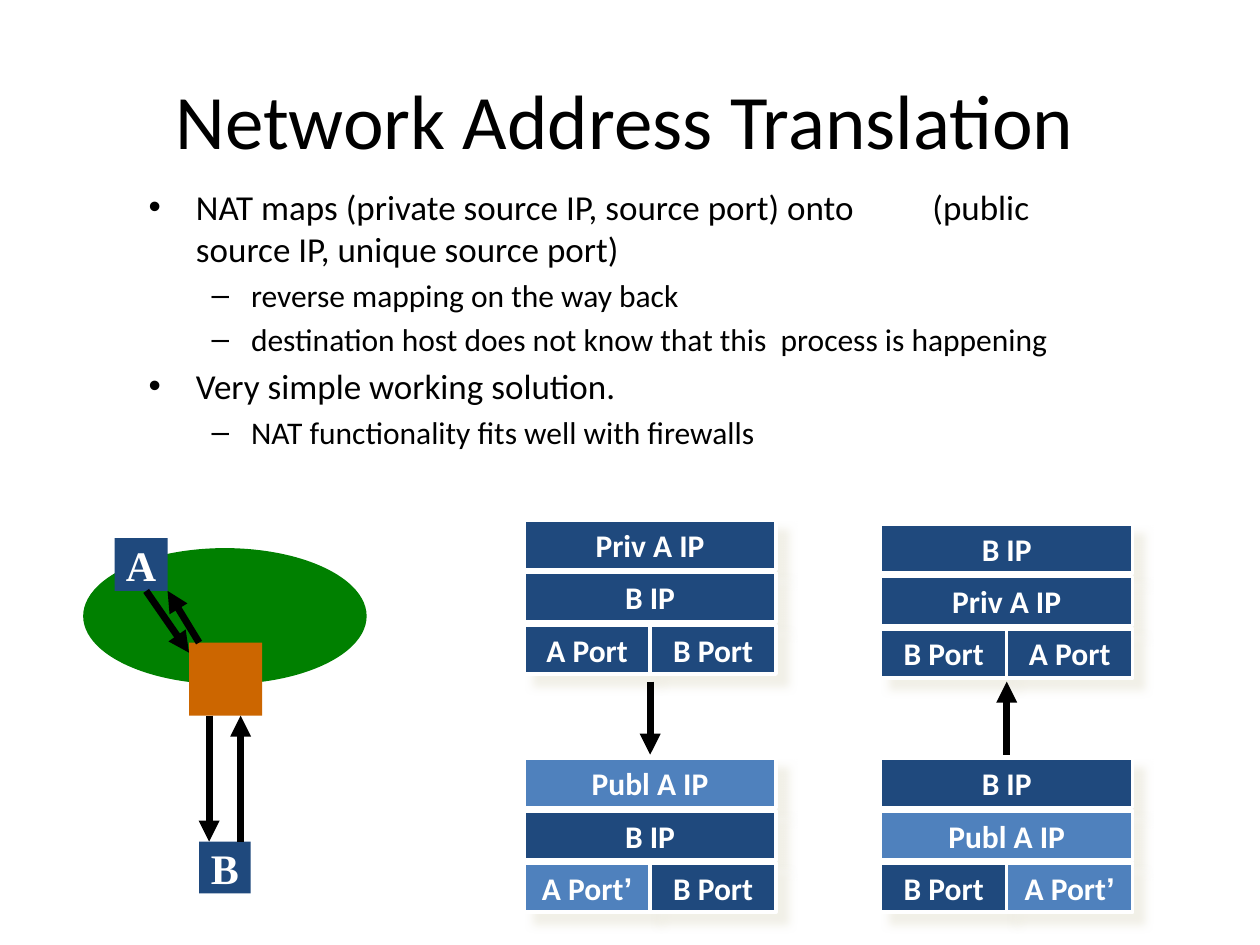
from lxml.etree import SubElement as Sub
from pptx import Presentation
from pptx.dml.color import RGBColor
from pptx.enum.shapes import MSO_CONNECTOR, MSO_SHAPE
from pptx.enum.text import MSO_ANCHOR, MSO_AUTO_SIZE, PP_ALIGN
from pptx.oxml.ns import qn
from pptx.util import Inches, Pt

HUE = {"navy": "1F497D", "blue": "4F81BD", "green": "008000",
       "orange": "CC6600", "white": "FFFFFF", "black": "000000",
       "shade": "EEECE1"}

TITLE = "Network Address Translation"
POINTS = [  # level, text
    (0, "NAT maps (private source IP, source port) onto\t(public source IP, unique source port)"),
    (1, "reverse mapping on the way back"),
    (1, "destination host does not know that this  process is happening"),
    (0, "Very simple working solution."),
    (1, "NAT functionality fits well with firewalls"),
]
SIZES = [20, 18]
TAB = 6.22

# left, top, rows of header fields; rewritten fields are blue
PACKETS = [
    (4.16, 4.13, [["Priv A IP"], ["B IP"], ["A Port", "B Port"]]),
    (4.16, 6.02, [["Publ A IP"], ["B IP"], ["A Port’", "B Port"]]),
    (6.99, 4.16, [["B IP"], ["Priv A IP"], ["B Port", "A Port"]]),
    (6.99, 6.02, [["B IP"], ["Publ A IP"], ["B Port", "A Port’"]]),
]
REWRITTEN = {"Publ A IP", "A Port’"}
WIDTH, HEIGHT, PITCH = 2, 0.39, 0.415

HOSTS = [("A", 0.91, 4.27, 0.42), ("B", 1.58, 6.68, 0.41)]
ARROWS = [  # start, end
    ((1.16, 4.69), (1.5, 5.18)),
    ((1.58, 5.1), (1.33, 4.69)),
    ((1.91, 6.68), (1.91, 5.68)),
    ((1.66, 5.68), (1.66, 6.68)),
    ((5.16, 5.41), (5.16, 5.99)),
    ((7.99, 5.99), (7.99, 5.41)),
]


def rgb(name):
    return RGBColor.from_string(HUE[name])


def write(para, text, size=18, font="Calibri", color="white", bold=False):
    run = para.add_run()
    run.text = text
    run.font.size = Pt(size)
    run.font.name = font
    run.font.bold = bold
    run.font.color.rgb = rgb(color)


def place(shape, *box):
    shape.left, shape.top, shape.width, shape.height = map(Inches, box)


def draw(slide, box, fill, kind=MSO_SHAPE.RECTANGLE):
    shape = slide.shapes.add_shape(kind, *map(Inches, box))
    shape.shadow.inherit = False
    shape.fill.solid()
    shape.fill.fore_color.rgb = rgb(fill)
    shape.line.fill.background()
    return shape


def label(shape):
    """Ready the shape for one centred line and return its paragraph."""
    frame = shape.text_frame
    frame.word_wrap = False
    frame.vertical_anchor = MSO_ANCHOR.MIDDLE
    para = frame.paragraphs[0]
    para.alignment = PP_ALIGN.CENTER
    return para


def cast(shape):
    """Give the shape a soft shadow to the lower right."""
    effects = shape._element.spPr.find(qn("a:effectLst"))
    outer = Sub(effects, qn("a:outerShdw"), blurRad=str(Pt(5)),
                dist=str(Pt(8.5)), dir="2700000", algn="ctr", rotWithShape="0")
    color = Sub(outer, qn("a:srgbClr"), val=HUE["shade"])
    Sub(color, qn("a:alpha"), val="75000")


def add_field(slide, box, text):
    shape = draw(slide, box, "blue" if text in REWRITTEN else "navy")
    shape.line.color.rgb = rgb("white")
    shape.line.width = Pt(2)
    cast(shape)
    para = label(shape)
    write(para, text.rstrip("’"), bold=True)
    if text.endswith("’"):
        write(para, "’", font="Arial", bold=True)


def add_packet(slide, left, top, rows):
    for i, row in enumerate(rows):
        wide = WIDTH / len(row)
        for j, text in enumerate(row):
            add_field(slide, (left + j * wide, top + i * PITCH, wide, HEIGHT), text)


def add_arrow(slide, start, end):
    line = slide.shapes.add_connector(
        MSO_CONNECTOR.STRAIGHT, *map(Inches, start + end))
    line.line.color.rgb = rgb("black")
    line.line.width = Pt(4)
    Sub(line.line._get_or_add_ln(), qn("a:tailEnd"), type="triangle")
    Sub(line._element.spPr, qn("a:effectLst"))


def fill_body(body):
    frame = body.text_frame
    frame.auto_size = MSO_AUTO_SIZE.NONE
    for i, (level, text) in enumerate(POINTS):
        para = frame.add_paragraph() if i else frame.paragraphs[0]
        para.level = level
        if not i:
            para.space_before = Pt(0)
        if "\t" in text:
            tabs = Sub(para._p.get_or_add_pPr(), qn("a:tabLst"))
            Sub(tabs, qn("a:tab"), pos=str(Inches(TAB)), algn="l")
        write(para, text, size=SIZES[level], color="black")


def main():
    deck = Presentation()
    deck.slide_width, deck.slide_height = Inches(10), Inches(7.5)
    slide = deck.slides.add_slide(deck.slide_layouts[1])

    title, body = slide.placeholders
    place(title, 0.17, 0.32, 9.58, 1.25)
    write(title.text_frame.paragraphs[0], TITLE, size=44, color="black")
    place(body, 1.08, 1.42, 7.82, 2.16)
    fill_body(body)

    draw(slide, (0.66, 4.35, 2.25, 1.08), "green", MSO_SHAPE.OVAL)
    draw(slide, (1.5, 5.1, 0.58, 0.58), "orange")
    for name, left, top, side in HOSTS:
        host = draw(slide, (left, top, side, side), "navy")
        write(label(host), name, size=24, font="Times New Roman", bold=True)
    for packet in PACKETS:
        add_packet(slide, *packet)
    for start, end in ARROWS:
        add_arrow(slide, start, end)

    deck.save("out.pptx")


if __name__ == "__main__":
    main()
